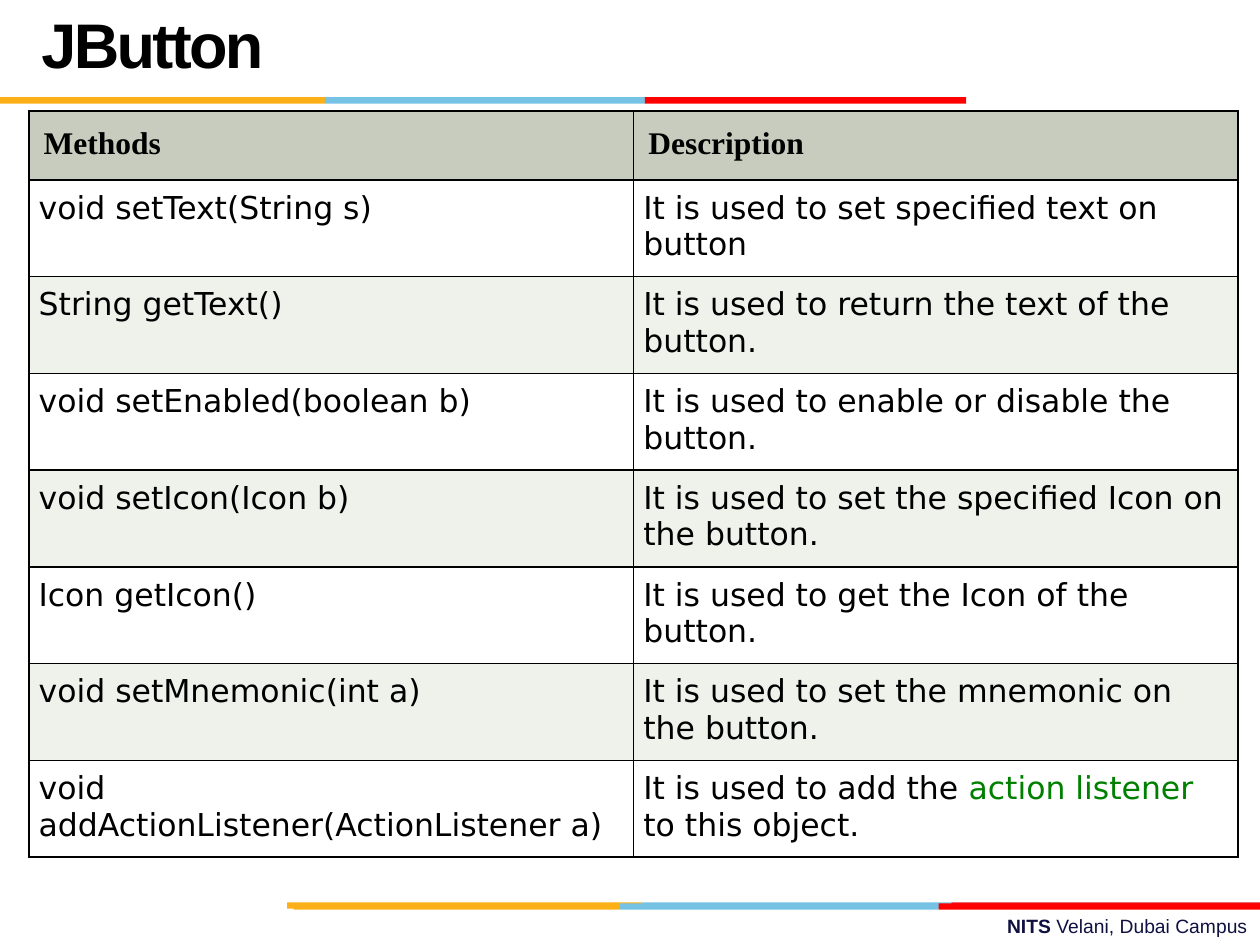
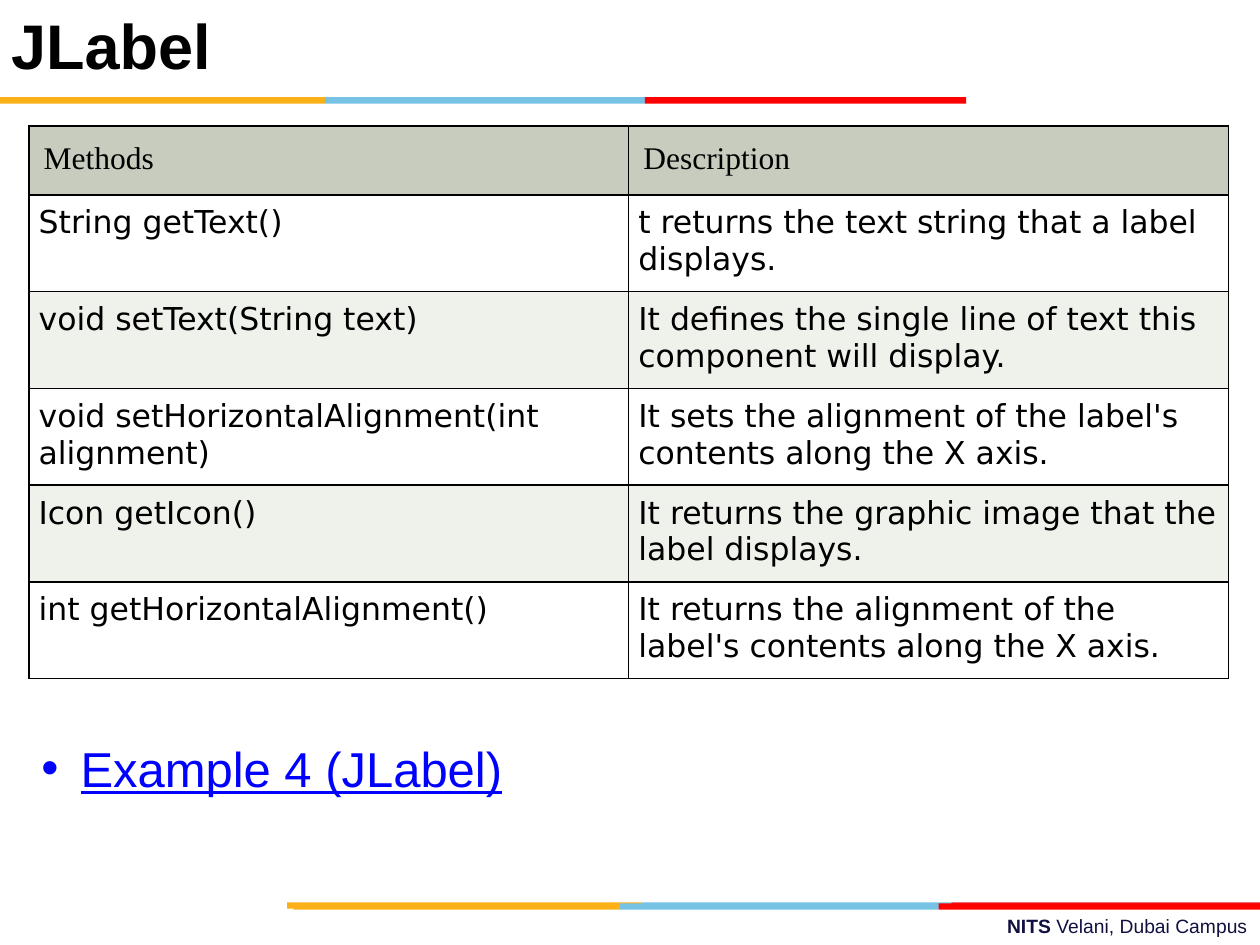
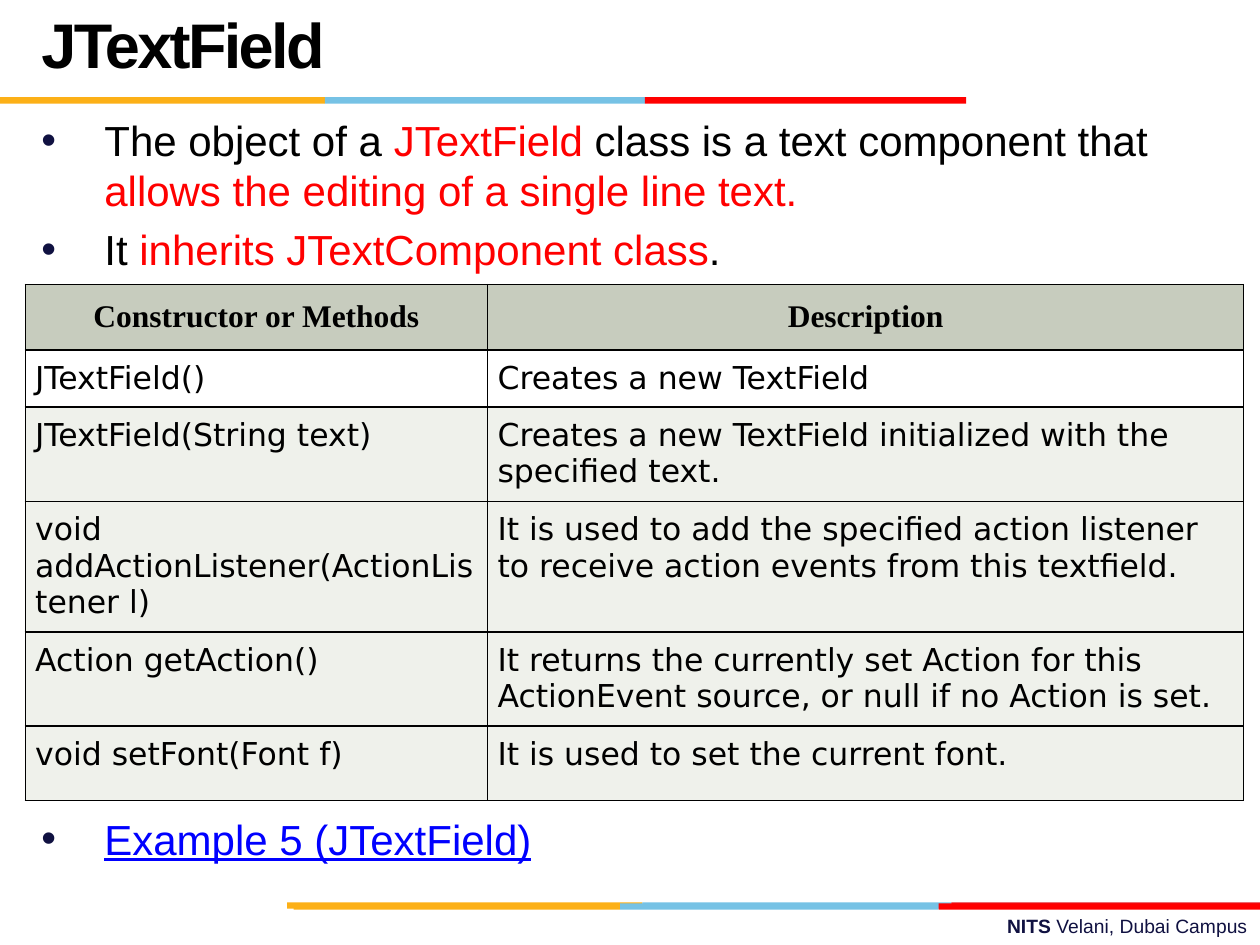
from itertools import cycle, pairwise

from lxml.etree import SubElement
from pptx import Presentation
from pptx.dml.color import RGBColor
from pptx.enum.shapes import MSO_SHAPE
from pptx.enum.text import MSO_ANCHOR, MSO_AUTO_SIZE, PP_ALIGN
from pptx.oxml.ns import qn
from pptx.util import Cm, Pt

BLACK, WHITE, NAVY = "000000", "FFFFFF", "101141"
RED, BLUE, GREEN = "FF0000", "0000FF", "008000"
ORANGE, SKY, CRIMSON = "FCB017", "76C2E5", "E31C24"
HEADER_FILL, STRIPE = "C7CCBE", "EFF1EB"
SANS, SERIF, CELL_FONT = "Arial", "Times New Roman", "DejaVu Sans"

# Each band: top, edges of its segments, colours of its segments (cm)
BANDS = [
    (18.19, (5.79, 12.95, 19.18, 25.4), (ORANGE, SKY, CRIMSON)),
    (18.21, (5.92, 12.5, 18.92, 25.4), (ORANGE, SKY, RED)),
    (1.96, (0, 6.55, 13, 19.48), (ORANGE, SKY, RED)),
]
BAND_HEIGHT = 0.13
FOOTER_BOX = (9.09, 18.31, 16.31, 0.74)
FOOTER = [("NITS ", {"bold": True}), ("Velani, Dubai Campus", {})]

TITLE_BOX = (0.58, 0.48, 17.58, 1.02)
TIGHT_TITLE = {"line_spacing": Pt(36), "tracking": -1.5}
HEADER_HEIGHT, ROW_HEIGHT = 1.39, 1.95

# A text is a plain string or a list of (text, format) runs
SLIDES = [
    {
        "title": "JButton",
        "title_box": TITLE_BOX,
        "title_format": TIGHT_TITLE,
        "table": {
            "corner": (0.58, 2.24),
            "columns": (12.19, 12.19),
            "header_format": {"bold": True},
            "fills": (WHITE, STRIPE),
            "rows": [
                ("Methods", "Description"),
                ("void setText(String s)", "It is used to set specified text on button"),
                ("String getText()", "It is used to return the text of the button."),
                ("void setEnabled(boolean b)", "It is used to enable or disable the button."),
                ("void setIcon(Icon b)", "It is used to set the specified Icon on the button."),
                ("Icon getIcon()", "It is used to get the Icon of the button."),
                ("void setMnemonic(int a)", "It is used to set the mnemonic on the button."),
                ("void addActionListener(ActionListener a)",
                 [("It is used to add the ", {}), ("action listener", {"color": GREEN}),
                  (" to this object.", {})]),
            ],
        },
    },
    {
        "title": "JLabel",
        "title_box": (-0.03, 0, 5.28, 1.8),
        "title_format": {},
        "table": {
            "corner": (0.58, 2.54),
            "columns": (12.09, 12.09),
            "header_format": {},
            "fills": (WHITE, STRIPE),
            "rows": [
                ("Methods", "Description"),
                ("String getText()", "t returns the text string that a label displays."),
                ("void setText(String text)",
                 "It defines the single line of text this component will display."),
                ("void setHorizontalAlignment(int alignment)",
                 "It sets the alignment of the label's contents along the X axis."),
                ("Icon getIcon()", "It returns the graphic image that the label displays."),
                ("int getHorizontalAlignment()",
                 "It returns the alignment of the label's contents along the X axis."),
            ],
        },
        "body": {
            "box": (0.58, 14.76, 9.93, 1.45),
            "size": 28,
            "indent": 0.79,
            "bullet_color": BLUE,
            "items": [([("Example 4 (JLabel)", {"color": BLUE, "underline": True})], 0)],
        },
    },
    {
        "title": "JTextField",
        "title_box": TITLE_BOX,
        "title_format": TIGHT_TITLE,
        "table": {
            "corner": (0.51, 5.74),
            "columns": (9.32, 15.24),
            "heights": (1.32, 1.15, 1.9, 2.63, 1.9, 1.5),
            "header_format": {"bold": True, "align": PP_ALIGN.CENTER},
            "fills": (WHITE, STRIPE, STRIPE, STRIPE, STRIPE),
            "rows": [
                ("Constructor or Methods", "Description"),
                ("JTextField()", "Creates a new TextField"),
                ("JTextField(String text)",
                 "Creates a new TextField initialized with the specified text."),
                ("void addActionListener(ActionListener l)",
                 "It is used to add the specified action listener to receive action "
                 "events from this textfield."),
                ("Action getAction()",
                 "It returns the currently set Action for this ActionEvent source, "
                 "or null if no Action is set."),
                ("void setFont(Font f)", "It is used to set the current font."),
            ],
        },
        "body": {
            "box": (0.58, 2.18, 24.38, 15.85),
            "size": 24,
            "indent": 1.27,
            "bullet_color": NAVY,
            # Each item: runs, space before in points (the last one clears the table)
            "items": [
                ([("The object of a ", {}), ("JTextField", {"color": RED}),
                  (" class is a text component that ", {}),
                  ("allows the editing of a single line text.", {"color": RED})], 4.8),
                ([("It ", {}), ("inherits JTextComponent class", {"color": RED}),
                  (".", {})], 4.8),
                ([("Example 5 (JTextField)", {"color": BLUE, "underline": True})], 308),
            ],
        },
    },
]


def rgb(color):
    return RGBColor.from_string(color)


def lengths(values):
    return [Cm(value) for value in values]


def place(shape, box):
    shape.left, shape.top, shape.width, shape.height = lengths(box)


def write(paragraph, text, font=SANS, size=18, color=BLACK, bold=False, underline=False,
          align=PP_ALIGN.LEFT, line_spacing=None, tracking=0):
    """Fill a paragraph; the format of a run overrides the common format."""
    paragraph.alignment = align
    if line_spacing:
        paragraph.line_spacing = line_spacing
    common = {"color": color, "bold": bold, "underline": underline}
    for run_text, run_format in [(text, {})] if isinstance(text, str) else text:
        look = common | run_format
        run = paragraph.add_run()
        run.text = run_text
        run.font.name, run.font.size = font, Pt(size)
        run.font.color.rgb = rgb(look["color"])
        run.font.bold, run.font.underline = look["bold"], look["underline"]
        if tracking:
            run.font._element.set("spc", str(round(tracking * 100)))


def add_bands(slide):
    for top, edges, colors in BANDS:
        for (left, right), color in zip(pairwise(edges), colors):
            segment = slide.shapes.add_shape(
                MSO_SHAPE.RECTANGLE, *lengths((left, top, right - left, BAND_HEIGHT)))
            segment.shadow.inherit = False
            segment.fill.solid()
            segment.fill.fore_color.rgb = rgb(color)
            segment.line.fill.background()
            yield segment


def add_footer(slide):
    footer = slide.shapes.add_textbox(*lengths(FOOTER_BOX))
    footer.text_frame.word_wrap = True
    write(footer.text_frame.paragraphs[0], FOOTER, size=11, color=NAVY, align=PP_ALIGN.RIGHT)
    return footer


def move_to_master(shapes, master):
    """Let every slide inherit shapes that were drawn on one slide."""
    for number, shape in enumerate(shapes, start=100):
        shape.element.nvSpPr.cNvPr.set("id", str(number))
        master.shapes.element.append(shape.element)


def fill_title(slide, text, box, title_format):
    title = slide.shapes.title
    place(title, box)
    frame = title.text_frame
    frame.auto_size = MSO_AUTO_SIZE.NONE
    frame.vertical_anchor = MSO_ANCHOR.MIDDLE
    write(frame.paragraphs[0], text, size=36, bold=True, **title_format)


def fill_body(placeholder, box, size, indent, bullet_color, items):
    place(placeholder, box)
    frame = placeholder.text_frame
    frame.auto_size = MSO_AUTO_SIZE.NONE
    for index, (runs, space_before) in enumerate(items):
        paragraph = frame.add_paragraph() if index else frame.paragraphs[0]
        write(paragraph, runs, size=size)
        paragraph.space_before = Pt(space_before)
        properties = paragraph._p.get_or_add_pPr()
        properties.set("marL", str(Cm(indent)))
        properties.set("indent", str(-Cm(indent)))
        bullet = SubElement(properties, qn("a:buClr"))
        SubElement(bullet, qn("a:srgbClr"), val=bullet_color)
        SubElement(properties, qn("a:buFont"), typeface=SANS)
        SubElement(properties, qn("a:buChar"), char="•")


def format_cell(cell, fill, inset):
    properties = cell._tc.get_or_add_tcPr()
    for side in ("lnL", "lnR", "lnT", "lnB"):
        border = SubElement(properties, qn(f"a:{side}"), w=str(Pt(1)))
        SubElement(SubElement(border, qn("a:solidFill")), qn("a:srgbClr"), val=BLACK)
    cell.fill.solid()
    cell.fill.fore_color.rgb = rgb(fill)
    cell.margin_left = cell.margin_right = cell.margin_top = cell.margin_bottom = Cm(inset)


def add_methods_table(slide, corner, columns, header_format, fills, rows, heights=None):
    heights = heights or [HEADER_HEIGHT] + [ROW_HEIGHT] * (len(rows) - 1)
    frame = slide.shapes.add_table(
        len(rows), len(columns), *lengths((*corner, sum(columns), sum(heights))))
    table = frame.table
    table.first_row = table.horz_banding = False
    for column, width in zip(table.columns, columns):
        column.width = Cm(width)
    row_fills = cycle(fills)
    for index, (row, height, texts) in enumerate(zip(table.rows, heights, rows)):
        row.height = Cm(height)
        fill = next(row_fills) if index else HEADER_FILL
        look = {"font": CELL_FONT} if index else {"font": SERIF} | header_format
        for cell, text in zip(row.cells, texts):
            format_cell(cell, fill, inset=0.2 if index else 0.3)
            write(cell.text_frame.paragraphs[0], text, **look)


def main():
    presentation = Presentation()
    presentation.slide_width, presentation.slide_height = Cm(25.4), Cm(19.05)
    title_and_content, title_only = (presentation.slide_layouts[i] for i in (1, 5))
    for content in SLIDES:
        has_body = "body" in content
        slide = presentation.slides.add_slide(title_and_content if has_body else title_only)
        fill_title(slide, content["title"], content["title_box"], content["title_format"])
        if has_body:
            fill_body(slide.placeholders[1], **content["body"])
        add_methods_table(slide, **content["table"])
    first = presentation.slides[0]
    move_to_master([*add_bands(first), add_footer(first)], presentation.slide_master)
    presentation.save("out.pptx")


if __name__ == "__main__":
    main()
